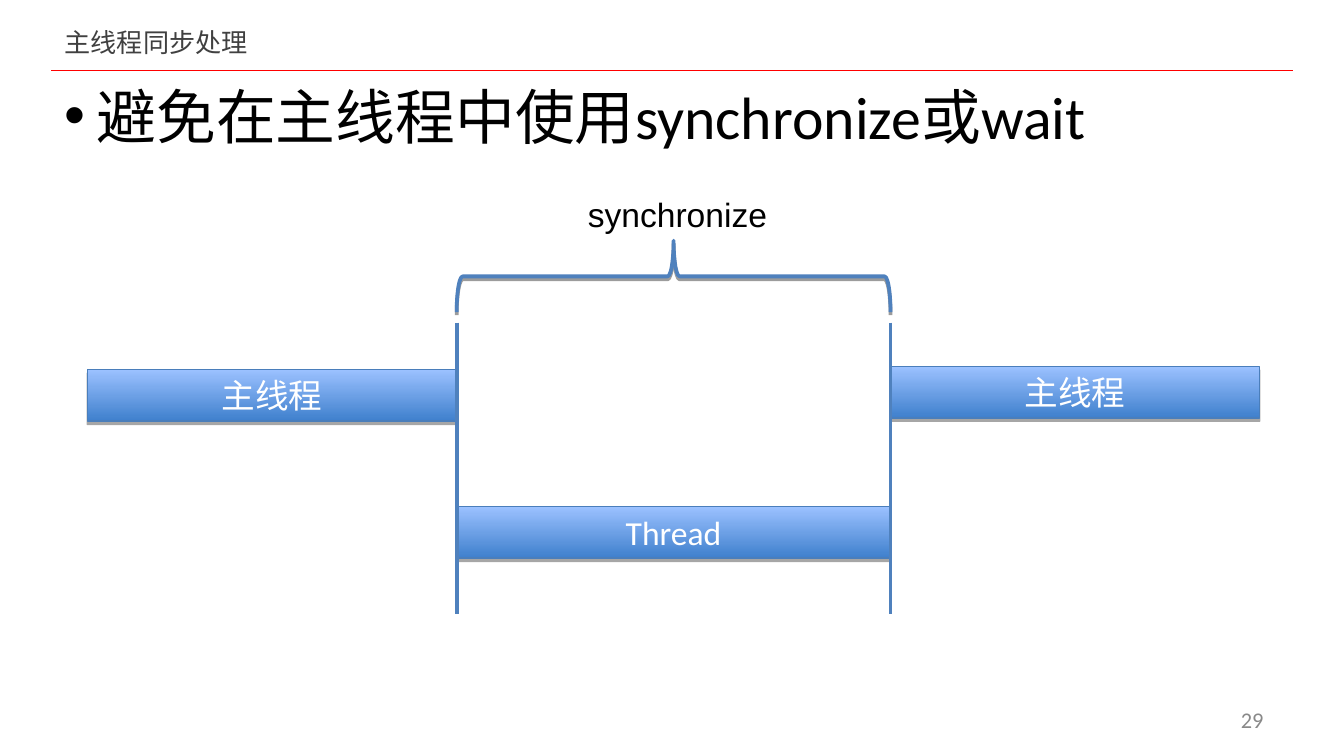
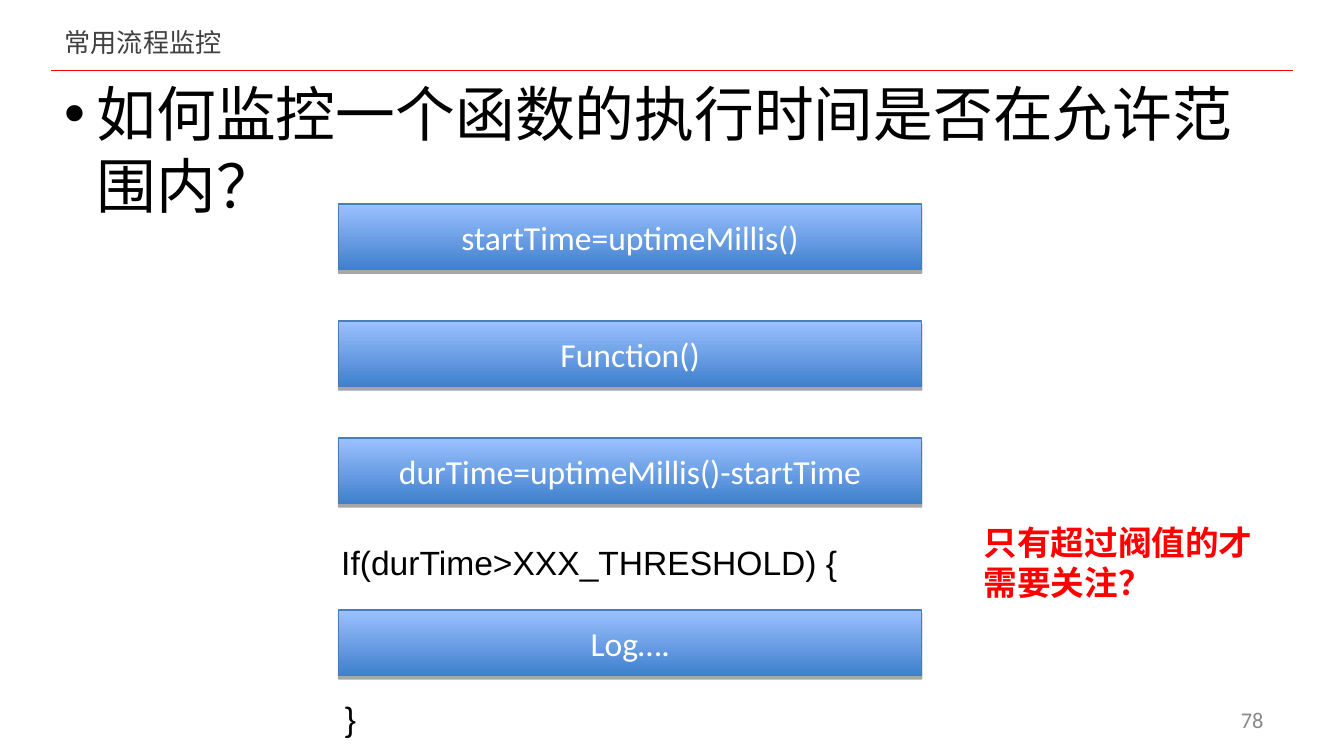
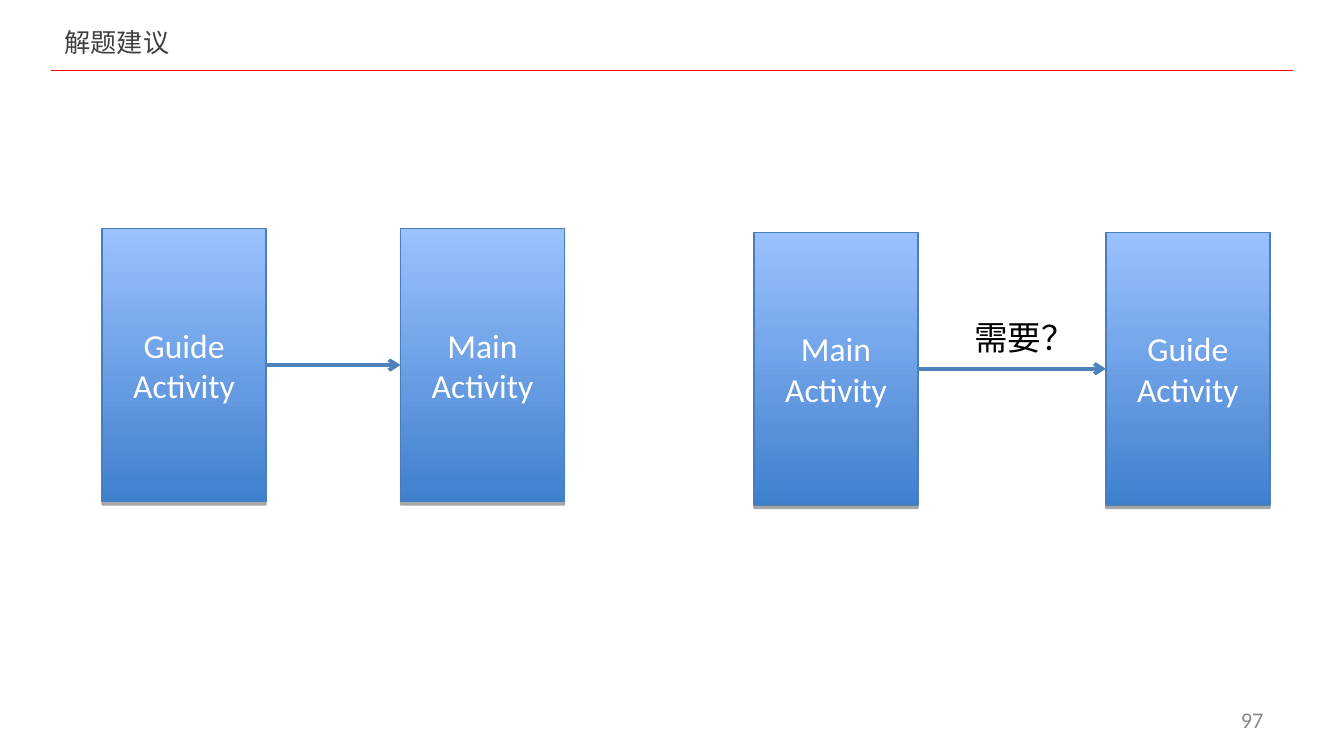
from lxml import etree
from pptx import Presentation
from pptx import util as u
from pptx.dml.color import RGBColor
from pptx.enum import shapes, text
from pptx.oxml import ns

Cm, Pt = u.Cm, u.Pt
FORM, ALIGN = shapes.MSO_SHAPE, text.PP_ALIGN
MID, TOP = text.MSO_ANCHOR.MIDDLE, text.MSO_ANCHOR.TOP

# Shared colours and text styles
BLUE, EDGE, DARK, LIGHT = "4F81BD", "4A7EBB", "3F80CD", "9BC1FF"
BLACK, RED = "000000", "FF0000"
HEAD = dict(name="Noto Sans CJK SC", size=Pt(14), color="404040")
BODY = dict(name="Calibri", size=Pt(32), color=BLACK)
BAR = dict(name="Calibri", size=Pt(18), color="FFFFFF")
LABEL = dict(name="Arial", size=Pt(18), color=BLACK)
NOTE = dict(LABEL, color=RED, bold=True)
PAGE = dict(name="Calibri", size=Pt(12), color="898989")


def paint(color, code):
    color.rgb = RGBColor.from_string(code)


def add(parent, tag, **attrs):
    return etree.SubElement(parent, ns.qn(tag), attrs)


def write(shape, words, style, align=ALIGN.LEFT, anchor=TOP, wrap=True):
    frame = shape.text_frame
    frame.text = words
    form = dict(word_wrap=wrap, vertical_anchor=anchor,
                auto_size=text.MSO_AUTO_SIZE.NONE,
                margin_left=Cm(0.25), margin_right=Cm(0.25),
                margin_top=Cm(0.13), margin_bottom=Cm(0.13))
    for key, value in form.items():
        setattr(frame, key, value)
    for para in frame.paragraphs:
        para.alignment = align
        for run in para.runs:
            for key, value in style.items():
                if key == "color":
                    paint(run.font.color, value)
                else:
                    setattr(run.font, key, value)
            # East Asian text uses the same face
            add(run.font._element, "a:ea", typeface=style["name"])


def label(slide, box, words, style=LABEL, **form):
    shape = slide.shapes.add_textbox(*map(Cm, box))
    write(shape, words, style, **form)
    return shape


def shade(shape, alpha, dist):
    shape.shadow.inherit = False
    effects = shape.element.spPr.find(ns.qn("a:effectLst"))
    drop = add(effects, "a:outerShdw", blurRad="0", dist=str(Pt(dist)),
               dir="5400000", rotWithShape="0")
    color = add(drop, "a:srgbClr", val=BLACK)
    add(color, "a:alpha", val=str(alpha * 1000))


def bar(slide, box, words):
    shape = slide.shapes.add_shape(FORM.RECTANGLE, *map(Cm, box))
    shape.fill.gradient()
    shape.fill.gradient_angle = 90
    for stop, code in zip(shape.fill.gradient_stops, (DARK, LIGHT)):
        paint(stop.color, code)
    paint(shape.line.color, EDGE)
    shape.line.width = Pt(0.75)
    shade(shape, 35, 1.8)
    write(shape, words, BAR, align=ALIGN.CENTER, anchor=MID)
    return shape


def rule(slide, ends, code=BLUE, width=2, arrow=False):
    line = slide.shapes.add_connector(
        shapes.MSO_CONNECTOR.STRAIGHT, *map(Cm, ends))
    paint(line.line.color, code)
    line.line.width = Pt(width)
    props = line.element.spPr
    if arrow:
        add(props.find(ns.qn("a:ln")), "a:tailEnd", type="arrow")
    add(props, "a:effectLst")
    return line


# Title, rule and page number of every slide
def start(deck, title, page):
    slide = deck.slides.add_slide(deck.slide_layouts[5])
    rule(slide, (0.97, 1.32, 24.43, 1.32), RED, 0.25)
    head = slide.shapes.title
    place = dict(left=0.97, top=0.41, width=11.13, height=0.76)
    for key, value in place.items():
        setattr(head, key, Cm(value))
    write(head, title, HEAD, anchor=MID)
    label(slide, (18.21, 13.23, 5.92, 0.76), str(page), PAGE,
          align=ALIGN.RIGHT, anchor=MID)
    return slide


def point(slide, box, words):
    shape = label(slide, box, words, BODY)
    props = shape.text_frame.paragraphs[0]._p.get_or_add_pPr()
    props.set("marL", str(Cm(0.61)))
    props.set("indent", str(-Cm(0.61)))
    add(props, "a:buFont", typeface="Arial")
    add(props, "a:buChar", char="•")


# Main thread waiting between two upright lines
def wait(slide, left, top):
    side, mid, high = 6.98, 8.2, 0.97
    first = left + side
    last = first + mid
    bar(slide, (left, top + 3.46, side, high), "主线程")
    bar(slide, (first, top + 6.05, mid, high), "Thread")
    bar(slide, (last, top + 3.4, side, high), "主线程")
    for x in (first, last):
        rule(slide, (x, top + 2.57, x, top + 8.08))
    label(slide, (first + 2.23, top, 3.89, 1.02), "synchronize", wrap=False)

    # Brace, turned to point up
    deep = 1.35
    turn = (mid - deep) / 2
    brace = slide.shapes.add_shape(
        FORM.LEFT_BRACE, Cm(first + turn), Cm(top + 1.02 - turn),
        Cm(deep), Cm(mid))
    brace.rotation = 90
    brace.fill.background()
    paint(brace.line.color, BLUE)
    brace.line.width = Pt(2)
    shade(brace, 38, 1.6)


# Steps of timing a function, with the check below
def steps(slide, left, top):
    wide, high, step = 11.02, 1.24, 2.21
    calls = ("startTime=uptimeMillis()", "Function()",
             "durTime=uptimeMillis()-startTime")
    for i, call in enumerate(calls):
        bar(slide, (left, top + i * step, wide, high), call)
    bar(slide, (left, top + 7.67, wide, high), "Log….")
    label(slide, (left - 0.2, top + 6.25, 9.91, 1.02),
          "If(durTime>XXX_THRESHOLD) {", wrap=False)
    label(slide, (left - 0.13, top + 9.2, 0.71, 1.02), "}", wrap=False)
    label(slide, (left + 11.94, top + 5.87, 6.1, 1.78),
          "只有超过阀值的才需要关注？", NOTE)


# Two screens joined by an arrow
def pair(slide, left, top, gap, names):
    wide, high = 3.1, 5.16
    xs = left, left + wide + gap
    here, there = [bar(slide, (x, top, wide, high), name)
                   for x, name in zip(xs, names)]
    y = top + high / 2
    line = rule(slide, (left + wide, y, xs[1], y), arrow=True)
    line.begin_connect(here, 3)
    line.end_connect(there, 1)


def main():
    deck = Presentation()
    deck.slide_width, deck.slide_height = Cm(25.4), Cm(14.29)

    slide = start(deck, "主线程同步处理", 29)
    point(slide, (0.97, 1.37, 22.86, 1.68),
          "避免在主线程中使用synchronize或wait")
    wait(slide, 1.65, 3.53)

    slide = start(deck, "常用流程监控", 78)
    point(slide, (0.97, 1.32, 22.86, 2.87),
          "如何监控一个函数的执行时间是否在允许范围内？")
    steps(slide, 6.4, 3.86)

    slide = start(deck, "解题建议", 97)
    guide, home = "Guide Activity", "Main\nActivity"
    pair(slide, 1.93, 4.32, 2.54, (guide, home))
    pair(slide, 14.25, 4.39, 3.55, (home, guide))
    label(slide, (18.16, 5.87, 2.41, 1.02), "需要？", wrap=False)

    deck.save("out.pptx")


if __name__ == "__main__":
    main()
